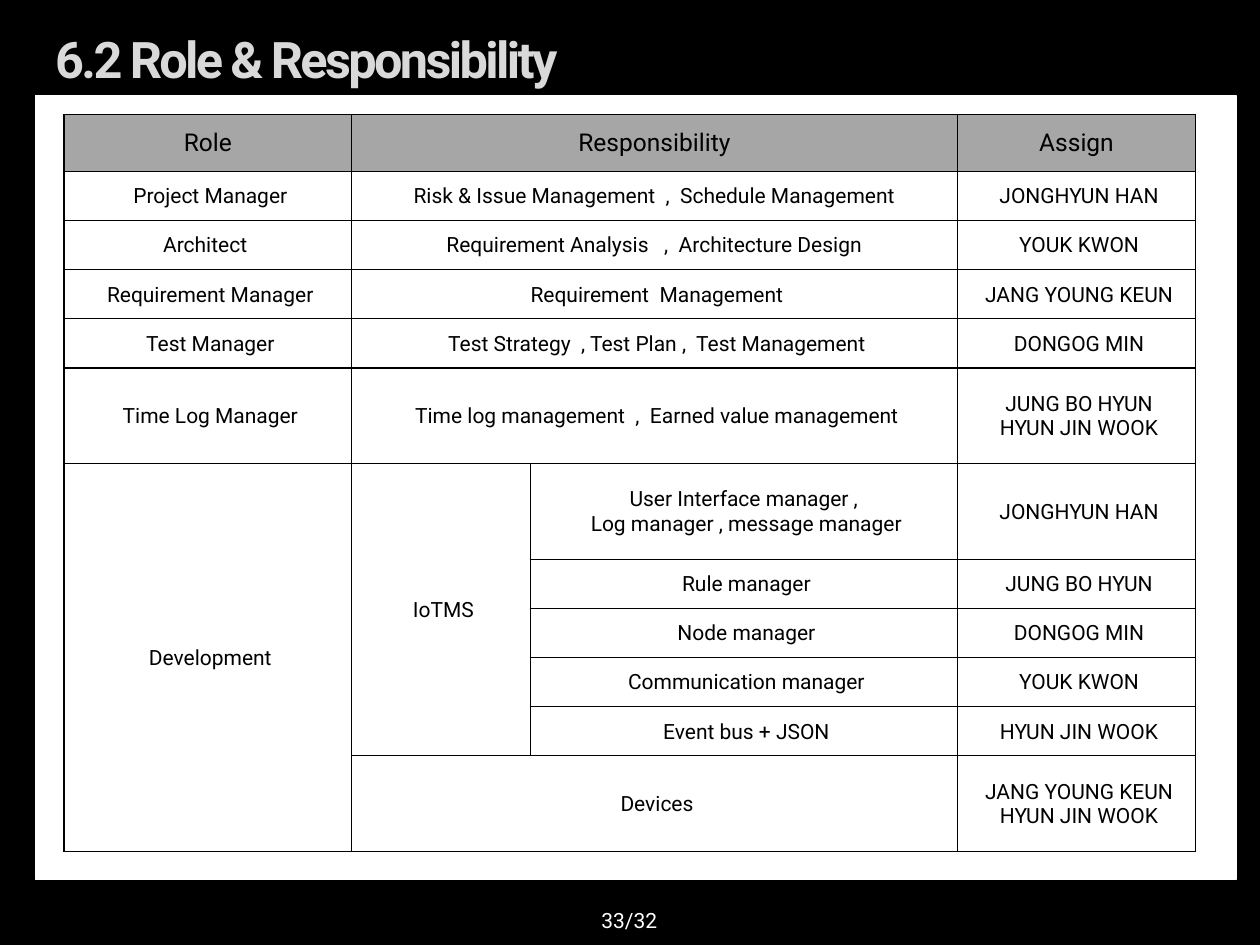
from dataclasses import dataclass

from lxml import etree
from pptx import Presentation
from pptx.dml.color import RGBColor
from pptx.enum.shapes import MSO_SHAPE
from pptx.enum.text import MSO_ANCHOR, PP_ALIGN
from pptx.oxml.ns import qn
from pptx.util import Inches, Pt

RECTANGLE = MSO_SHAPE.RECTANGLE
MIDDLE = MSO_ANCHOR.MIDDLE
LEFT, CENTER = PP_ALIGN.LEFT, PP_ALIGN.CENTER

COLORS = {
    "black": "000000",
    "white": "FFFFFF",
    "header": "A6A6A6",
    "title": "D9D9D9",
}
FONT = "Roboto"
COLUMN_WIDTHS = (2.28, 1.42, 3.39, 1.89)
HEADER_HEIGHT, ROW_HEIGHT, TALL_HEIGHT = 0.45, 0.39, 0.76
BORDER_WIDTH = 1


@dataclass(frozen=True)
class TextStyle:
    size: float
    color: str
    align: PP_ALIGN = CENTER
    bold: bool = False
    spacing: int = 0


@dataclass(frozen=True)
class Label:
    text: str
    left: float
    top: float
    width: float
    height: float
    style: TextStyle


@dataclass(frozen=True)
class CellStyle:
    text: TextStyle
    fill: str
    margins: tuple[float, float, float, float]


HEADER = CellStyle(TextStyle(14, "black"), "header", (0.01, 0.01, 0.01, 0))
BODY = CellStyle(TextStyle(12, "black"), "white", (0.08, 0.01, 0.04, 0))

LABELS = (
    Label("6.2 Role & Responsibility", 0.34, 0.21, 9.14, 0.51,
          TextStyle(28.8, "title", LEFT, True, -150)),
    Label("33/32", 3.83, 7.1, 2.33, 0.4, TextStyle(12, "white")),
)
ROWS = (
    ("Role", "Responsibility", None, "Assign"),
    ("Project Manager", "Risk & Issue Management  ,  Schedule Management ", None, "JONGHYUN HAN"),
    ("Architect  ", "Requirement Analysis   ,  Architecture Design ", None, "YOUK KWON"),
    ("Requirement Manager", "Requirement  Management", None, "JANG YOUNG KEUN"),
    ("Test Manager", "Test Strategy  , Test Plan ,  Test Management", None, "DONGOG MIN"),
    ("Time Log Manager", "Time log management  ,  Earned value management", None,
     "JUNG BO HYUN\nHYUN JIN WOOK"),
    ("Development", "IoTMS", "User Interface manager , \nLog manager , message manager",
     "JONGHYUN HAN"),
    (None, None, "Rule manager", "JUNG BO HYUN"),
    (None, None, "Node manager", "DONGOG MIN"),
    (None, None, "Communication manager", "YOUK KWON"),
    (None, None, "Event bus + JSON", "HYUN JIN WOOK"),
    (None, "Devices", None, "JANG YOUNG KEUN\nHYUN JIN WOOK"),
)
DEVELOPMENT_ROW = 6
LAST_ROW = len(ROWS) - 1


def color(name: str) -> RGBColor:
    return RGBColor.from_string(COLORS[name])


def apply_format(target, values: dict) -> None:
    for name, value in values.items():
        setattr(target, name, value)


def write_text(text_frame, text: str, style: TextStyle) -> None:
    text_frame.text = text
    for paragraph in text_frame.paragraphs:
        paragraph.alignment = style.align
        for run in paragraph.runs:
            apply_format(run.font, {"name": FONT, "size": Pt(style.size), "bold": style.bold})
            run.font.color.rgb = color(style.color)
            if style.spacing:
                run._r.get_or_add_rPr().set("spc", str(style.spacing))


def add_label(slide, label: Label) -> None:
    shape = slide.shapes.add_textbox(
        Inches(label.left), Inches(label.top), Inches(label.width), Inches(label.height))
    apply_format(shape.text_frame, {"word_wrap": True, "vertical_anchor": MIDDLE})
    write_text(shape.text_frame, label.text, label.style)


def add_panel(slide) -> None:
    panel = slide.shapes.add_shape(
        RECTANGLE, Inches(0.28), Inches(0.76), Inches(9.53), Inches(6.22))
    panel.shadow.inherit = False
    panel.fill.solid()
    panel.fill.fore_color.rgb = color("white")
    panel.line.color.rgb = color("white")
    panel.line.width = Pt(0.75)


def set_borders(cell) -> None:
    properties = cell._tc.get_or_add_tcPr()
    for index, side in enumerate(("lnL", "lnR", "lnT", "lnB")):
        border = etree.Element(qn(f"a:{side}"), w=str(Pt(BORDER_WIDTH)))
        fill = etree.SubElement(border, qn("a:solidFill"))
        etree.SubElement(fill, qn("a:srgbClr"), val=COLORS["black"])
        properties.insert(index, border)


def format_cell(cell, text: str | None, style: CellStyle) -> None:
    left, top, right, bottom = map(Inches, style.margins)
    apply_format(cell, {
        "margin_left": left, "margin_top": top, "margin_right": right,
        "margin_bottom": bottom, "vertical_anchor": MIDDLE,
    })
    cell.fill.solid()
    cell.fill.fore_color.rgb = color(style.fill)
    set_borders(cell)
    if text:
        write_text(cell.text_frame, text, style.text)


def row_height(index: int) -> float:
    if index == 0:
        return HEADER_HEIGHT
    return TALL_HEIGHT if any("\n" in text for text in ROWS[index] if text) else ROW_HEIGHT


def add_role_table(slide) -> None:
    heights = [row_height(index) for index in range(len(ROWS))]
    table = slide.shapes.add_table(
        len(ROWS), len(COLUMN_WIDTHS), Inches(0.51), Inches(0.91),
        Inches(sum(COLUMN_WIDTHS)), Inches(sum(heights))).table
    for column, width in zip(table.columns, COLUMN_WIDTHS):
        column.width = Inches(width)
    for row_index, (texts, height) in enumerate(zip(ROWS, heights)):
        table.rows[row_index].height = Inches(height)
        for column_index, text in enumerate(texts):
            style = BODY if row_index else HEADER
            format_cell(table.cell(row_index, column_index), text, style)
    for row_index in (*range(DEVELOPMENT_ROW), LAST_ROW):
        table.cell(row_index, 1).merge(table.cell(row_index, 2))
    table.cell(DEVELOPMENT_ROW, 0).merge(table.cell(LAST_ROW, 0))
    table.cell(DEVELOPMENT_ROW, 1).merge(table.cell(LAST_ROW - 1, 1))


def main() -> None:
    """Build the role and responsibility slide."""
    presentation = Presentation()
    apply_format(presentation, {"slide_width": Inches(10), "slide_height": Inches(7.5)})
    slide = presentation.slides.add_slide(presentation.slide_layouts[6])
    slide.background.fill.solid()
    slide.background.fill.fore_color.rgb = color("black")
    add_panel(slide)
    for label in LABELS:
        add_label(slide, label)
    add_role_table(slide)
    presentation.save("out.pptx")


if __name__ == "__main__":
    main()
